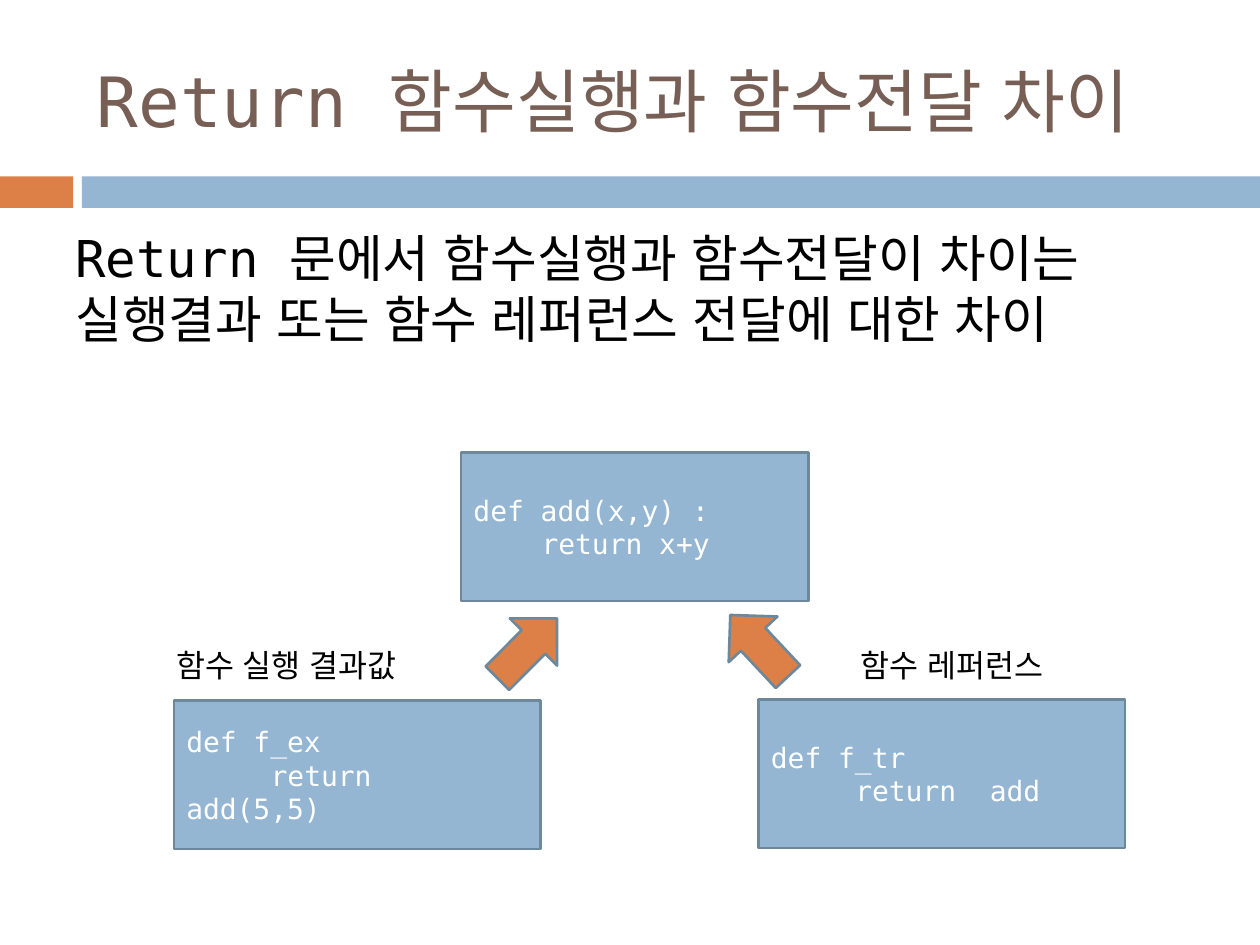
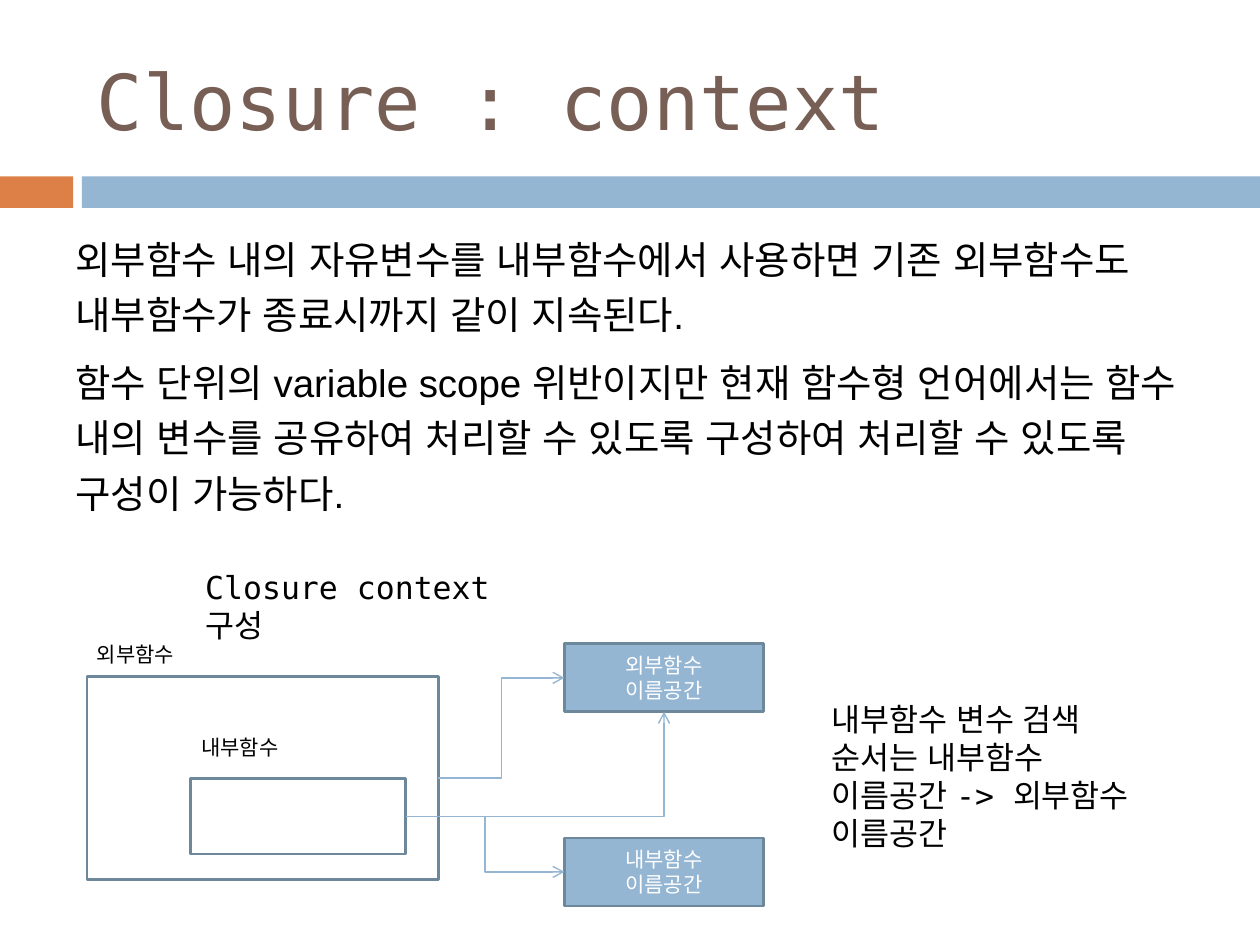
from lxml import etree
from pptx import Presentation
from pptx.dml.color import RGBColor
from pptx.enum.lang import MSO_LANGUAGE_ID
from pptx.enum.shapes import MSO_CONNECTOR, MSO_SHAPE
from pptx.enum.text import MSO_ANCHOR, PP_ALIGN
from pptx.oxml.ns import qn
from pptx.util import Inches, Pt

RECTANGLE = MSO_SHAPE.RECTANGLE
RIGHT_ARROW = MSO_SHAPE.RIGHT_ARROW
ELBOW = MSO_CONNECTOR.ELBOW
TOP, MIDDLE = MSO_ANCHOR.TOP, MSO_ANCHOR.MIDDLE
LEFT, CENTER = PP_ALIGN.LEFT, PP_ALIGN.CENTER
KOREAN = MSO_LANGUAGE_ID.KOREAN
LEFT_SIDE, BOTTOM_SIDE, RIGHT_SIDE = 1, 2, 3

MONO, SANS = "DejaVu Sans Mono", "Arial"
COLORS = {
    "orange": "DD8047",
    "blue": "94B6D2",
    "outline": "6D879B",
    "title": "775F55",
    "black": "000000",
    "white": "FFFFFF",
}


def color(name):
    """Return the named palette colour."""
    return RGBColor.from_string(COLORS[name])


def write(box, lines, size=18, font=MONO, ink="black", align=LEFT, anchor=TOP,
          before=0, spacing=1.0, indents=()):
    """Fill a box with one paragraph per line, in one format."""
    frame = box.text_frame
    frame.word_wrap = True
    frame.vertical_anchor = anchor
    for index, line in enumerate(lines):
        para = frame.paragraphs[0] if index == 0 else frame.add_paragraph()
        para.alignment = align
        para.space_before = Pt(before)
        para.line_spacing = spacing
        if index < len(indents):
            para._p.get_or_add_pPr().set("indent", str(Inches(indents[index])))
        span = para.add_run()
        span.text = line
        span.font.size = Pt(size)
        span.font.name = font
        span.font.color.rgb = color(ink)
        span.font.language_id = KOREAN


def add_text(page, left, top, width, height, lines, **text_format):
    """Add a text box."""
    box = page.shapes.add_textbox(Inches(left), Inches(top), Inches(width), Inches(height))
    write(box, lines, **text_format)
    return box


def add_block(page, left, top, width, height, fill="blue", outline="outline", kind=RECTANGLE):
    """Add a filled shape, outlined unless outline is None."""
    block = page.shapes.add_shape(kind, Inches(left), Inches(top), Inches(width), Inches(height))
    block.shadow.inherit = False
    block.fill.solid()
    block.fill.fore_color.rgb = color(fill)
    if outline:
        block.line.color.rgb = color(outline)
        block.line.width = Pt(1.5)
    else:
        block.line.fill.background()
    return block


def add_link(page, source, target, end_side, preset="bentConnector3"):
    """Join the right side of one block to a side of another with an elbow arrow."""
    link = page.shapes.add_connector(ELBOW, 0, 0, 0, 0)
    link.begin_connect(source, RIGHT_SIDE)
    link.end_connect(target, end_side)
    link.line.color.rgb = color("blue")
    link.line.width = Pt(0.79)
    properties = link._element.spPr
    properties.find(qn("a:prstGeom")).set("prst", preset)
    etree.SubElement(properties.find(qn("a:ln")), qn("a:tailEnd"), type="arrow")
    etree.SubElement(properties, qn("a:effectLst"))


def add_page(deck, title, title_size):
    """Add a page with the shared bands and title."""
    page = deck.slides.add_slide(deck.slide_layouts[6])
    add_block(page, 0, 1.4, 0.58, 0.25, "orange", None)
    add_block(page, 0.65, 1.4, 9.35, 0.25, "blue", None)
    add_text(page, 0.67, 0.25, 8.92, 1.08, [title], size=title_size, ink="title", anchor=MIDDLE)
    return page


def add_code(page, left, top, width, header, body, indent):
    """Add a code block with an indented second line."""
    block = add_block(page, left, top, width, 1.18)
    write(block, [header, body], size=16, ink="white", anchor=MIDDLE, indents=(0, indent))


def add_function_diagram(page, left, top):
    """Draw the add function and the two functions that return it."""
    add_code(page, left + 2.28, top, 2.76, "def add(x,y) :", "return x+y", 0.54)
    add_code(page, left, top + 1.97, 2.91, "def f_ex", "return  add(5,5)", 0.67)
    add_code(page, left + 4.64, top + 1.96, 2.91, "def f_tr", "return  add", 0.67)
    for x, y, angle in ((2.47, 1.29, 314.9), (4.31, 1.27, 226.9)):
        arrow = add_block(page, left + x, top + y, 0.67, 0.53, "orange", kind=RIGHT_ARROW)
        arrow.rotation = angle
    add_text(page, left - 0.08, top + 1.49, 2.46, 0.4, ["함수 실행 결과값"])
    add_text(page, left + 5.35, top + 1.49, 1.81, 0.4, ["함수 레퍼런스"])


def add_context_diagram(page, left, top):
    """Draw the nested functions linked to their namespaces."""
    outer = add_block(page, left + 0.02, top + 0.33, 2.79, 1.61, "white")
    inner = add_block(page, left + 0.84, top + 1.14, 1.71, 0.6, "white")
    spaces = []
    for name, x, y, space_y in (("외부함수", 0, 0, 0.07), ("내부함수", 0.83, 0.74, 1.61)):
        add_text(page, left + x, top + y, 0.95, 0.28, [name], size=12)
        space = add_block(page, left + 3.81, top + space_y, 1.58, 0.54)
        write(space, [name, "이름공간"], size=12, ink="white", align=CENTER, anchor=MIDDLE)
        spaces.append(space)
    outer_space, inner_space = spaces
    add_link(page, inner, inner_space, LEFT_SIDE)
    add_link(page, inner, outer_space, BOTTOM_SIDE, "bentConnector2")
    add_link(page, outer, outer_space, LEFT_SIDE)


def build_return_page(deck):
    """Build the page on returning a result or a function."""
    page = add_page(deck, "Return 함수실행과 함수전달 차이", 39.6)
    add_text(page, 0.5, 1.75, 9, 1.61,
             ["Return 문에서 함수실행과 함수전달이 차이는 실행결과 또는 함수 레퍼런스 전달에 대한 차이"],
             size=29, before=7)
    add_function_diagram(page, 1.38, 3.59)


def build_closure_page(deck):
    """Build the page on the closure context."""
    page = add_page(deck, "Closure : context", 44)
    add_text(page, 0.5, 1.75, 9, 2.71,
             ["외부함수 내의 자유변수를 내부함수에서 사용하면 기존 외부함수도 내부함수가 종료시까지 같이 지속된다.",
              "함수 단위의 variable scope 위반이지만 현재 함수형 언어에서는 함수 내의 변수를 공유하여 "
              "처리할 수 있도록 구성하여 처리할 수 있도록 구성이 가능하다."],
             size=22, font=SANS, before=7, spacing=1.2)
    add_context_diagram(page, 0.67, 5.04)
    add_text(page, 1.53, 4.46, 2.91, 0.4, ["Closure context 구성"])
    add_text(page, 6.5, 5.51, 2.76, 1.31,
             ["내부함수 변수 검색 순서는 내부함수 이름공간 -> 외부함수 이름공간"])


def main():
    """Build and save the deck."""
    deck = Presentation()
    deck.slide_width, deck.slide_height = Inches(10), Inches(7.5)
    build_return_page(deck)
    build_closure_page(deck)
    deck.save("out.pptx")


if __name__ == "__main__":
    main()
